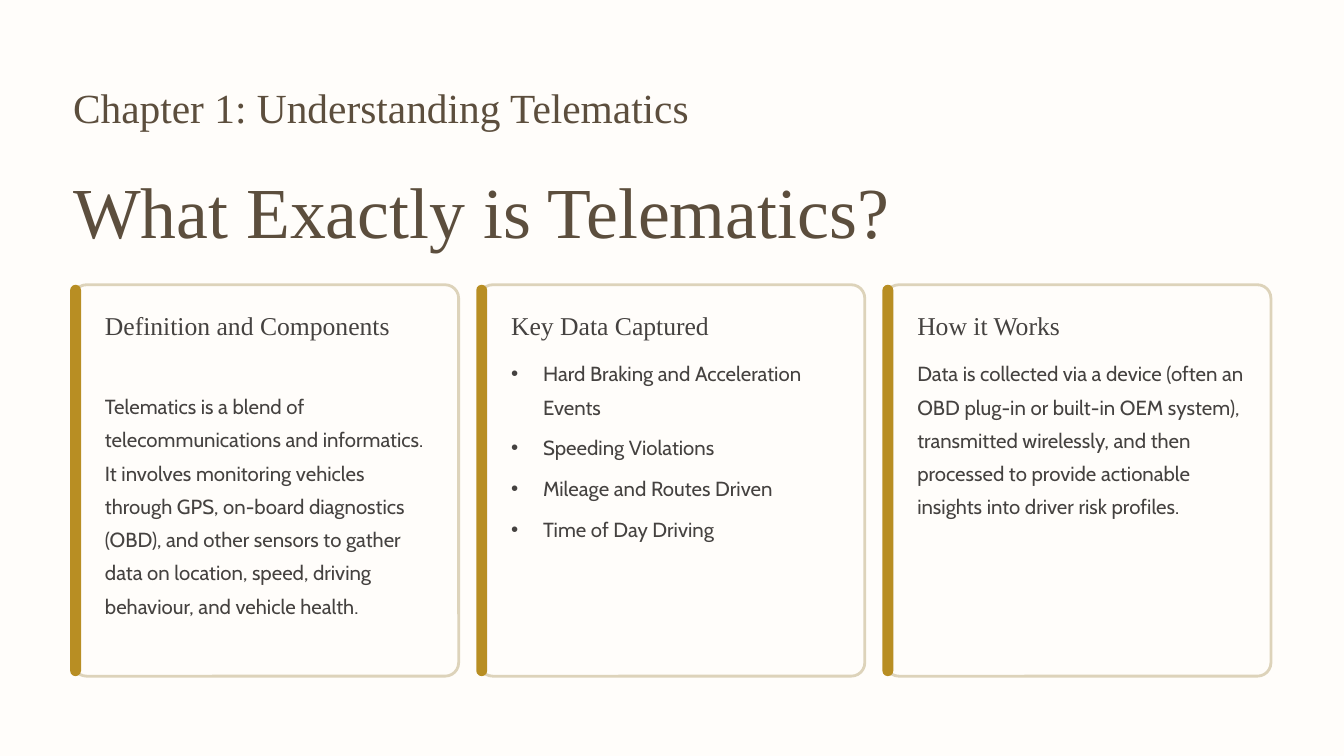
"""Builds the slide that explains telematics in three cards."""
from lxml import etree
from pptx import Presentation
from pptx.dml.color import RGBColor
from pptx.enum.shapes import MSO_SHAPE
from pptx.enum.text import MSO_ANCHOR, MSO_AUTO_SIZE, PP_ALIGN
from pptx.oxml.ns import qn
from pptx.util import Inches, Pt

ROUNDED = MSO_SHAPE.ROUNDED_RECTANGLE
TOP, LEFT, NO_FIT = MSO_ANCHOR.TOP, PP_ALIGN.LEFT, MSO_AUTO_SIZE.NONE

CHAPTER = "Chapter 1: Understanding Telematics"
TITLE = "What Exactly is Telematics?"
CARDS = [
    {"heading": "Definition and Components", "heading_rows": 2, "bullets": False,
     "lines": ["Telematics is a blend of telecommunications and informatics. It involves "
               "monitoring vehicles through GPS, on-board diagnostics (OBD), and other sensors "
               "to gather data on location, speed, driving behaviour, and vehicle health."]},
    {"heading": "Key Data Captured", "heading_rows": 1, "bullets": True,
     "lines": ["Hard Braking and Acceleration Events", "Speeding Violations",
               "Mileage and Routes Driven", "Time of Day Driving"]},
    {"heading": "How it Works", "heading_rows": 1, "bullets": False,
     "lines": ["Data is collected via a device (often an OBD plug-in or built-in OEM system), "
               "transmitted wirelessly, and then processed to provide actionable insights "
               "into driver risk profiles."]},
]

COLORS = {"page": "FFFDFA", "title": "5C4E3D", "text": "454240",
          "border": "DDD3BA", "accent": "B88E23"}
STYLES = {
    "chapter": {"name": "Times New Roman", "size": 35.5, "leading": 44.5, "color": "title"},
    "title": {"name": "Times New Roman", "size": 61.5, "leading": 77, "color": "title"},
    "heading": {"name": "Times New Roman", "size": 22, "leading": 27.5, "color": "text"},
    "body": {"name": "Cabin", "size": 17.5, "leading": 28.5, "color": "text"},
}
WIDTH, HEIGHT = 16, 9
MARGIN = 0.87
CARD_TOP, CARD_WIDTH, CARD_HEIGHT = 3.39, 4.59, 4.66
CARD_PITCH = 4.835
BAR_WIDTH, BAR_SHIFT = 0.13, 0.035
PAD_X, PAD_Y = 0.38, 0.28
TEXT_WIDTH = 3.93
HEADING_ROW, HEADING_GAP = 0.39, 0.14
BULLET_INDENT, BULLET_GAP = 0.38, 6.4


def color(name):
    return RGBColor.from_string(COLORS[name])


def place(box, area):
    for name, length in zip(("left", "top", "width", "height"), area):
        setattr(box, name, Inches(length))


def add_bullet(para):
    properties = para._p.get_or_add_pPr()
    properties.set("marL", str(Inches(BULLET_INDENT)))
    properties.set("indent", str(-Inches(BULLET_INDENT)))
    etree.SubElement(properties, qn("a:buFont")).set("typeface", "Arial")
    etree.SubElement(properties, qn("a:buChar")).set("char", "•")


def write(box, lines, style, bullets=False):
    look = STYLES[style]
    frame = box.text_frame
    settings = {"word_wrap": True, "auto_size": NO_FIT, "vertical_anchor": TOP,
                "margin_left": 0, "margin_top": 0, "margin_right": 0, "margin_bottom": 0}
    for name, value in settings.items():
        setattr(frame, name, value)
    for index, line in enumerate(lines):
        para = frame.add_paragraph() if index else frame.paragraphs[0]
        if bullets:
            add_bullet(para)
        spacing = {"alignment": LEFT, "line_spacing": Pt(look["leading"]),
                   "space_before": Pt(BULLET_GAP if index else 0)}
        for name, value in spacing.items():
            setattr(para, name, value)
        span = para.add_run()
        span.text = line
        span.font.name = look["name"]
        span.font.size = Pt(look["size"])
        span.font.color.rgb = color(look["color"])


def add_text(page, area, lines, style):
    box = page.shapes.add_textbox(*map(Inches, area))
    write(box, lines, style)


def add_panel(page, area, corner, fill, border=None):
    panel = page.shapes.add_shape(ROUNDED, *map(Inches, area))
    panel.shadow.inherit = False
    panel.adjustments[0] = corner
    panel.fill.solid()
    panel.fill.fore_color.rgb = color(fill)
    if border:
        panel.line.color.rgb = color(border)
        panel.line.width = Pt(2.4)
    else:
        panel.line.fill.background()


def add_card(page, left, card, body):
    add_panel(page, (left, CARD_TOP, CARD_WIDTH, CARD_HEIGHT), 0.035, "page", "border")
    add_panel(page, (left - BAR_SHIFT, CARD_TOP, BAR_WIDTH, CARD_HEIGHT), 0.5, "accent")
    text_left, text_top = left + PAD_X, CARD_TOP + PAD_Y
    heading_height = card["heading_rows"] * HEADING_ROW
    add_text(page, (text_left, text_top, TEXT_WIDTH, heading_height),
             [card["heading"]], "heading")
    body_top = text_top + heading_height + HEADING_GAP
    body_height = CARD_TOP + CARD_HEIGHT - PAD_Y - body_top
    area = (text_left, body_top, TEXT_WIDTH, body_height)
    if card["bullets"]:
        place(body, area)
        write(body, card["lines"], "body", bullets=True)
        body.element.getparent().append(body.element)
    else:
        add_text(page, area, card["lines"], "body")


def main():
    deck = Presentation()
    deck.slide_width, deck.slide_height = Inches(WIDTH), Inches(HEIGHT)
    page = deck.slides.add_slide(deck.slide_layouts[1])
    page.background.fill.solid()
    page.background.fill.fore_color.rgb = color("page")
    title, body = page.placeholders
    place(title, (MARGIN, 1.94, 12.04, 1.07))
    write(title, [TITLE], "title")
    add_text(page, (MARGIN, 0.95, 9.32, 0.62), [CHAPTER], "chapter")
    for column, card in enumerate(CARDS):
        add_card(page, MARGIN + column * CARD_PITCH, card, body)
    deck.save("out.pptx")


if __name__ == "__main__":
    main()
